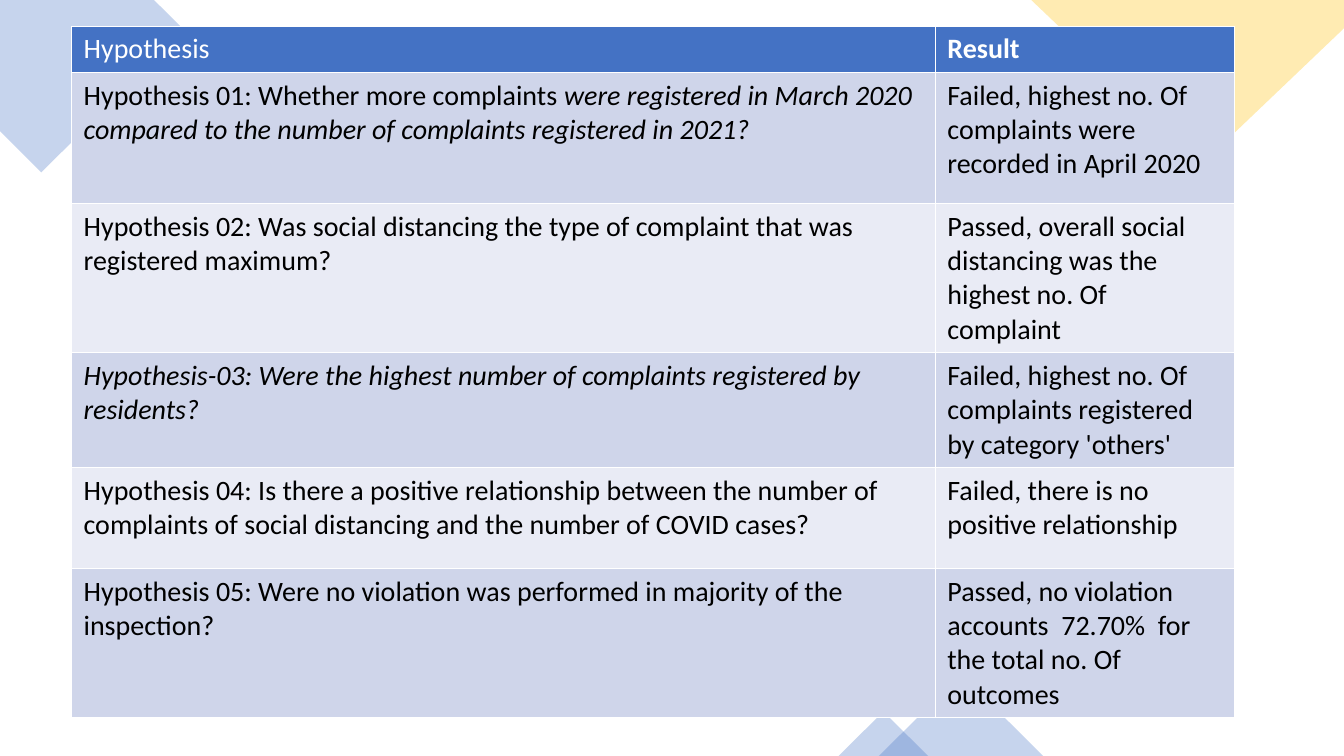
import pptx
import pptx.dml.color
import pptx.enum.shapes
import pptx.oxml
import pptx.oxml.ns
import pptx.util
from dataclasses import dataclass

Pt = pptx.util.Pt


@dataclass(frozen=True)
class Theme:
    blue: str = "4472C4"
    gold: str = "FFC000"
    band_dark: str = "CFD5EA"
    band_light: str = "E9EBF5"
    white: str = "FFFFFF"
    black: str = "000000"
    font: str = "Calibri"
    text_size: int = 20
    tint: int = 30  # opacity of the corner shapes, in percent


theme = Theme()


def rgb(code):
    return pptx.dml.color.RGBColor.from_string(code)


def tint_shape(shape, color):
    """Give the shape a see-through fill with no outline or shadow."""
    shape.shadow.inherit = False
    shape.line.fill.background()
    shape.fill.solid()
    shape.fill.fore_color.rgb = rgb(color)
    alpha = pptx.oxml.parse_xml(
        f'<a:alpha {pptx.oxml.ns.nsdecls("a")} val="{theme.tint * 1000}"/>')
    shape.fill._xPr.find(".//" + pptx.oxml.ns.qn("a:srgbClr")).append(alpha)


deck = pptx.Presentation()
deck.slide_width, deck.slide_height = Pt(960), Pt(540)
page = deck.slides.add_slide(deck.slide_layouts[6])

# Corner shapes
corners = [
    (theme.blue, [(110, 0), (0, 0), (0, 93.6), (29.5, 123.1), (131.8, 21.6)]),
    (theme.gold, [(960, 0), (736.6, 0), (859, 116.6), (960, 20.2)]),
]
for color, points in corners:
    outline = [(Pt(x), Pt(y)) for x, y in points]
    builder = page.shapes.build_freeform(*outline[0])
    builder.add_line_segments(outline[1:], close=True)
    tint_shape(builder.convert_to_shape(), color)

# Triangles standing on the bottom edge
for left, width, height in [(627.8, 117.4, 58.3), (599, 64, 31.7)]:
    triangle = page.shapes.add_shape(
        pptx.enum.shapes.MSO_SHAPE.ISOSCELES_TRIANGLE,
        Pt(left), Pt(540 - height), Pt(width), Pt(height))
    tint_shape(triangle, theme.blue)

# Each row: height, then two cells made of (text, italic) spans
rows = [
    (28.8, [("Hypothesis ", False)], [("Result", False)]),
    (93.6,
     [("Hypothesis 01: Whether more complaints ", False),
      ("were registered in March 2020 compared to the number of complaints registered in 2021? ", True)],
     [("Failed, highest no. Of complaints were recorded in April 2020", False)]),
    (93.6,
     [("Hypothesis 02: Was social distancing the type of complaint that was registered maximum?", False)],
     [("Passed, overall social distancing was the highest no. Of complaint", False)]),
    (72,
     [("Hypothesis-03: Were the highest number of complaints registered by residents? ", True)],
     [("Failed, highest no. Of complaints registered by category 'others'", False)]),
    (72,
     [("Hypothesis 04: Is there a positive relationship between the number of complaints of social distancing and the number of COVID cases?", False)],
     [("Failed, there is no positive relationship", False)]),
    (93.6,
     [("Hypothesis 05: Were no violation was performed in majority of the inspection?", False)],
     [("Passed, no violation accounts  72.70%  for the total no. Of outcomes", False)]),
]
widths = [617, 213.8]

table = page.shapes.add_table(
    len(rows), len(widths), Pt(51.1), Pt(18.7),
    Pt(sum(widths)), Pt(sum(row[0] for row in rows))).table
for column, width in zip(table.columns, widths):
    column.width = Pt(width)

for row_index, (height, *cells) in enumerate(rows):
    table.rows[row_index].height = Pt(height)
    is_header = row_index == 0
    band = theme.band_dark if row_index % 2 else theme.band_light
    for column_index, spans in enumerate(cells):
        cell = table.cell(row_index, column_index)
        cell.margin_left = cell.margin_right = Pt(8.64)
        cell.margin_top = cell.margin_bottom = Pt(4.32)
        cell.fill.solid()
        cell.fill.fore_color.rgb = rgb(theme.blue if is_header else band)
        para = cell.text_frame.paragraphs[0]
        para.font.name = theme.font
        para.font.size = Pt(theme.text_size)
        para.font.bold = is_header and column_index == 1
        para.font.color.rgb = rgb(theme.white if is_header else theme.black)
        for text, italic in spans:
            span = para.add_run()
            span.text = text
            span.font.italic = italic

deck.save("out.pptx")
